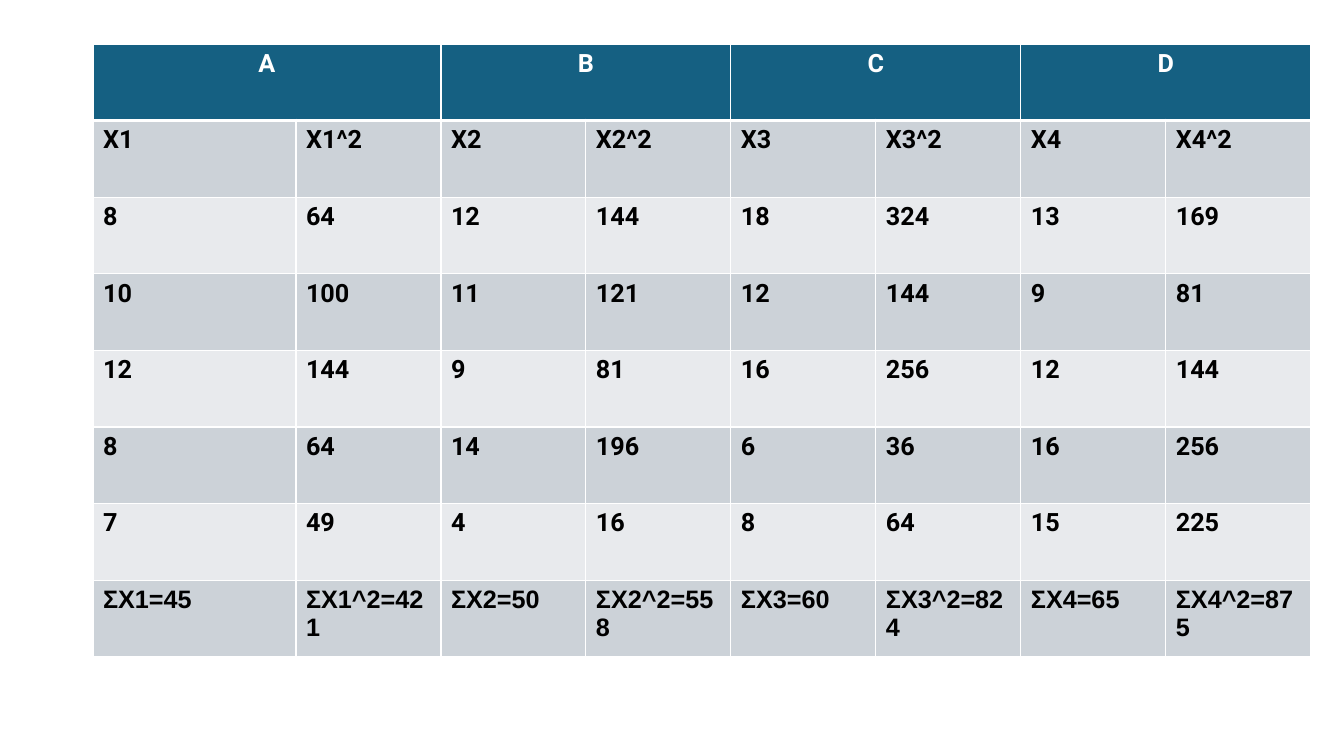
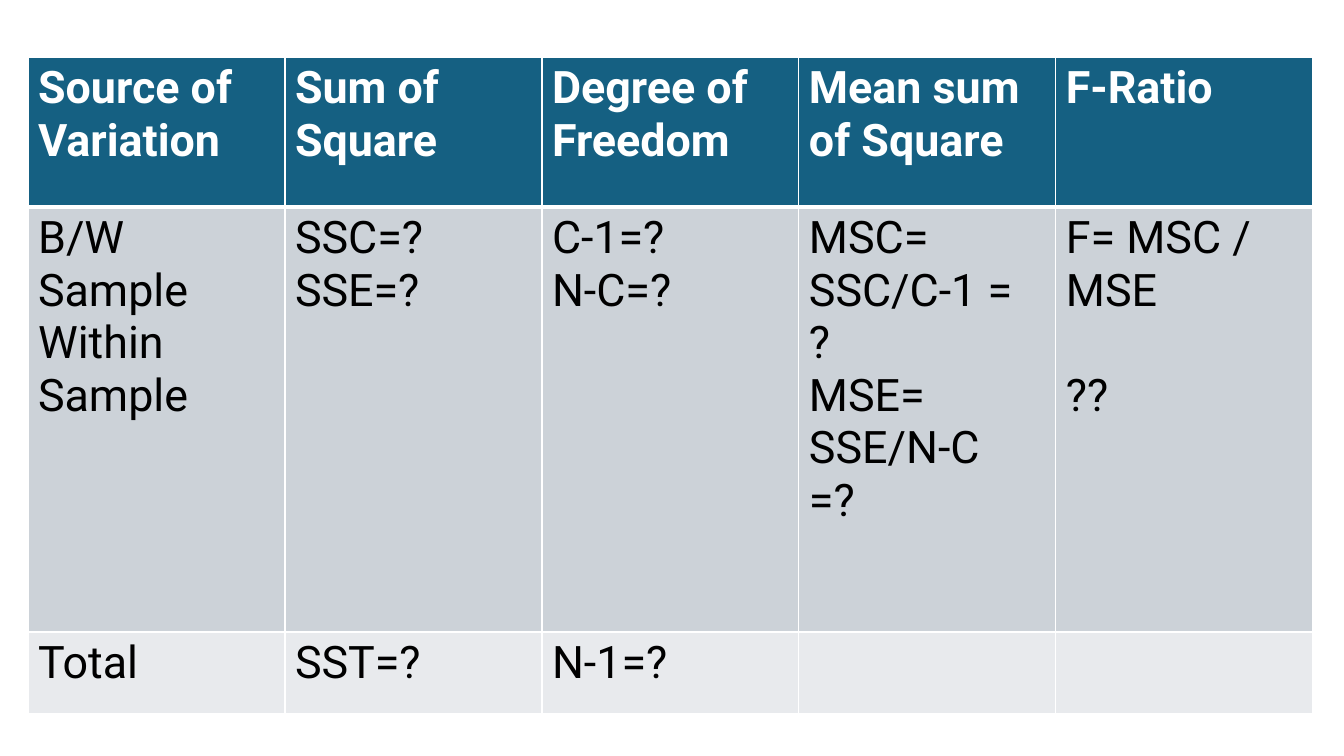
from dataclasses import dataclass

from lxml import etree
from pptx import Presentation
from pptx.dml.color import RGBColor
from pptx.enum.text import PP_ALIGN
from pptx.oxml.ns import qn
from pptx.util import Emu, Pt

CENTER, LEFT = PP_ALIGN.CENTER, PP_ALIGN.LEFT
SLIDE_W, SLIDE_H = 1344, 756
EMU_PER_PX = 12192000 / SLIDE_W


@dataclass(frozen=True)
class Theme:
    header: str = "156082"
    bands: tuple = ("CCD2D8", "E8EAED")
    rule: str = "FFFFFF"
    header_text: str = "FFFFFF"
    body_text: str = "000000"
    font: str = "Roboto"
    sum_font: str = "Arial"
    data_size: int = 18
    summary_size: int = 32
    line_gap: float = 37.5
    thin: int = 1
    thick: int = 3


THEME = Theme()


def px(n):
    return Emu(round(n * EMU_PER_PX))


def rgb(value):
    return RGBColor.from_string(value)


class Deck:
    def __init__(self, theme):
        self.theme = theme
        self.prs = Presentation()
        self.prs.slide_width, self.prs.slide_height = px(SLIDE_W), px(SLIDE_H)
        self.s = None

    def slide(self):
        self.s = self.prs.slides.add_slide(self.prs.slide_layouts[6])

    def table(self, left, top, widths, heights, rows, size, bold=False):
        """Draw rows of text under a header row; a line break starts a paragraph."""
        frame = self.s.shapes.add_table(len(rows), len(widths), px(left), px(top),
                                        px(sum(widths)), px(sum(heights)))
        table = frame.table
        table.horz_banding = False
        for col, width in zip(table.columns, widths):
            col.width = px(width)
        for row, height in zip(table.rows, heights):
            row.height = px(height)
        for i, texts in enumerate(rows):
            for j, text in enumerate(texts):
                cell = table.cell(i, j)
                self.borders(cell, i)
                self.fill(cell, i)
                cell.text = text
                self.style(cell, size=Pt(size), bold=bold or i == 0, name=self.theme.font,
                           color=self.theme.body_text if i else self.theme.header_text)
        return table

    def fill(self, cell, row):
        bands = self.theme.bands
        cell.fill.solid()
        cell.fill.fore_color.rgb = rgb(bands[(row - 1) % 2] if row else self.theme.header)

    def borders(self, cell, row):
        """Rule all four sides, heavier where the header meets the body."""
        t = self.theme
        widths = {"L": t.thin, "R": t.thin,
                  "T": t.thick if row == 1 else t.thin,
                  "B": t.thick if row == 0 else t.thin}
        tcPr = cell._tc.get_or_add_tcPr()
        for side, width in widths.items():
            ln = etree.SubElement(tcPr, qn(f"a:ln{side}"), w=str(Pt(width)))
            solid = etree.SubElement(ln, qn("a:solidFill"))
            etree.SubElement(solid, qn("a:srgbClr"), val=t.rule)

    def style(self, cell, align=LEFT, color=None, **font):
        for p in cell.text_frame.paragraphs:
            p.alignment = align
            for r in p.runs:
                for name, value in font.items():
                    setattr(r.font, name, value)
                if color:
                    r.font.color.rgb = rgb(color)

    def merge_pairs(self, table):
        """Join header cells two by two and centre their text."""
        for j in range(0, len(table.columns), 2):
            cell = table.cell(0, j)
            cell.merge(table.cell(0, j + 1))
            self.style(cell, align=CENTER)


def sample_rows(samples):
    """Pair every value with its square, between the headings and the sums."""
    names, labels, sums = [], [], []
    for k, (name, values) in enumerate(samples.items(), 1):
        names += [name, ""]
        labels += [f"X{k}", f"X{k}^2"]
        sums += [f"ΣX{k}={sum(values)}", f"ΣX{k}^2={sum(v * v for v in values)}"]
    data = [[str(n) for v in line for n in (v, v * v)] for line in zip(*samples.values())]
    return [names, labels, *data, sums]


SAMPLES = {
    "A": (8, 10, 12, 8, 7),
    "B": (12, 11, 9, 14, 4),
    "C": (18, 12, 16, 6, 8),
    "D": (13, 9, 12, 16, 15),
}

ANOVA = [
    ["Source of Variation", "Sum of Square", "Degree of Freedom",
     "Mean sum of Square", "F-Ratio"],
    ["B/W Sample\nWithin Sample", "SSC=?\nSSE=?", "C-1=?\nN-C=?",
     "MSC= SSC/C-1 =\n?\nMSE= SSE/N-C\n=?", "F= MSC / MSE\n??"],
    ["Total", "SST=?", "N-1=?", "", ""],
]


def samples_slide(deck):
    deck.slide()
    rows = sample_rows(SAMPLES)
    row_height = 613 / len(rows)
    table = deck.table(93, 44, [203] + [145] * 7, [row_height] * len(rows), rows,
                       deck.theme.data_size, bold=True)
    deck.merge_pairs(table)
    for cell in table.rows[len(rows) - 1].cells:
        deck.style(cell, name=deck.theme.sum_font)


def anova_slide(deck):
    deck.slide()
    table = deck.table(28, 57, [257] * 5, [150, 425, 82], ANOVA, deck.theme.summary_size)
    ratio_result = table.cell(1, 4).text_frame.paragraphs[1]
    ratio_result.space_before = Pt(deck.theme.line_gap)


def main():
    deck = Deck(THEME)
    samples_slide(deck)
    anova_slide(deck)
    deck.prs.save("out.pptx")


if __name__ == "__main__":
    main()
